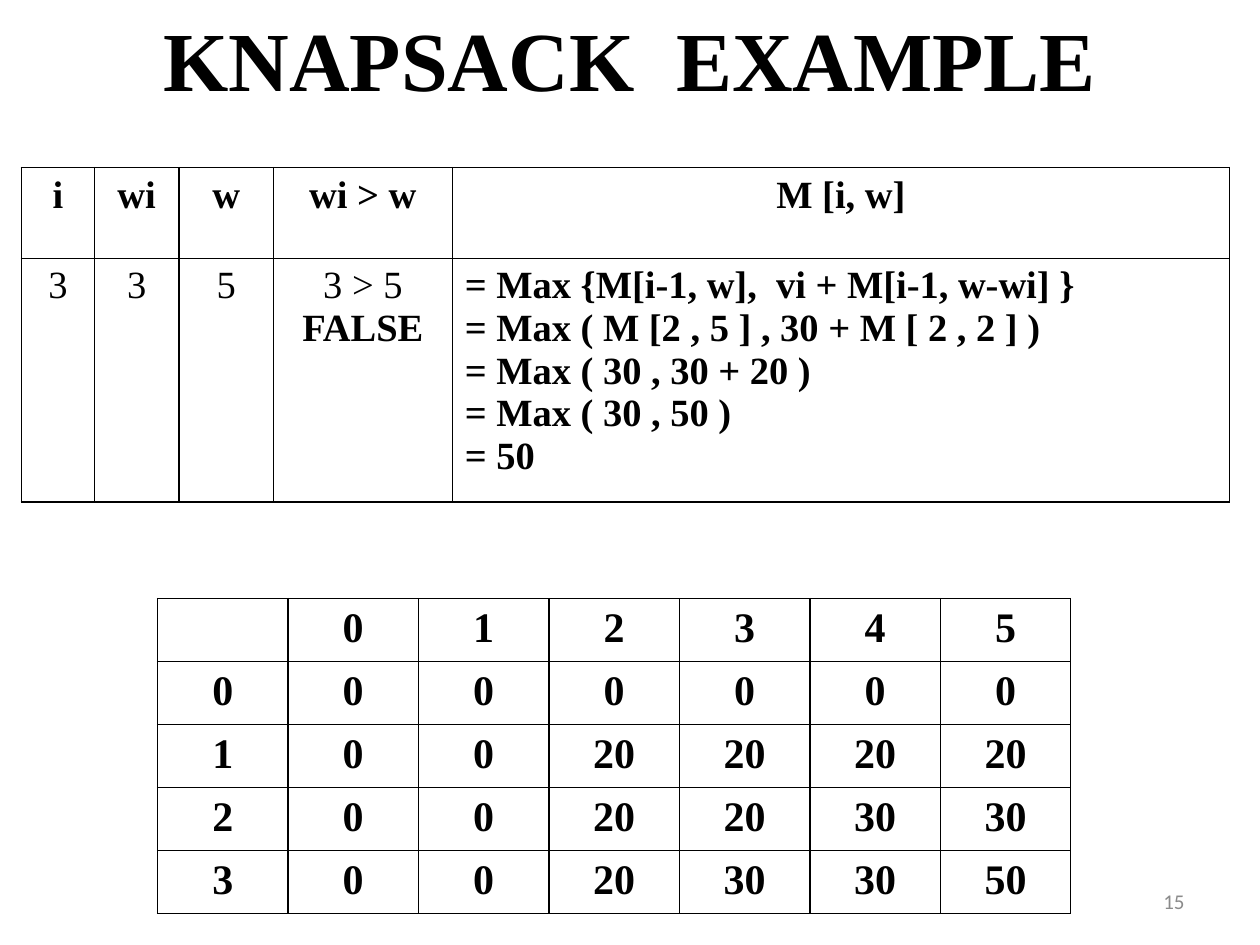
from pptx import Presentation
from pptx.dml.color import RGBColor
from pptx.enum.text import MSO_ANCHOR, MSO_AUTO_SIZE, PP_ALIGN
from pptx.oxml import parse_xml
from pptx.oxml.ns import nsdecls
from pptx.util import Inches, Pt

BLACK = RGBColor(0x00, 0x00, 0x00)
GRAY = RGBColor(0x8B, 0x8B, 0x8B)
LEFT, CENTER, RIGHT = PP_ALIGN.LEFT, PP_ALIGN.CENTER, PP_ALIGN.RIGHT
MIDDLE = MSO_ANCHOR.MIDDLE
NO_AUTOFIT = MSO_AUTO_SIZE.NONE
SERIF = "Times New Roman"


def write(tf, text, size=24, font=SERIF, color=BLACK, bold=True, align=CENTER):
    """Fill a text frame, one paragraph per line; bold may be a list, one flag per line."""
    lines = text.split("\n")
    flags = bold if isinstance(bold, list) else [bold] * len(lines)
    for i, (line, flag) in enumerate(zip(lines, flags)):
        p = tf.paragraphs[0] if i == 0 else tf.add_paragraph()
        p.alignment = align
        r = p.add_run()
        r.text = line
        r.font.name, r.font.size, r.font.bold = font, Pt(size), flag
        r.font.color.rgb = color


def add_grid(s, left, top, widths, heights):
    """Add an unfilled table with thin black borders."""
    frame = s.shapes.add_table(len(heights), len(widths), Inches(left), Inches(top),
                               Inches(sum(widths)), Inches(sum(heights)))
    table = frame.table
    table.first_row = table.horz_banding = False
    for col, width in zip(table.columns, widths):
        col.width = Inches(width)
    for row, height in zip(table.rows, heights):
        row.height = Inches(height)
    for cell in table.iter_cells():
        cell.fill.background()
        tcPr = cell._tc.get_or_add_tcPr()
        for i, side in enumerate(("lnL", "lnR", "lnT", "lnB")):
            tcPr.insert(i, parse_xml(
                f'<a:{side} {nsdecls("a")} w="12700"><a:solidFill>'
                f'<a:srgbClr val="{BLACK}"/></a:solidFill></a:{side}>'))
    return table


prs = Presentation()
prs.slide_width, prs.slide_height = Inches(10), Inches(7.5)
s = prs.slides.add_slide(prs.slide_layouts[5])

# Title
title = s.shapes.title
title.left, title.top = Inches(0.5), Inches(-0.08)
title.width, title.height = Inches(9), Inches(1.08)
tf = title.text_frame
tf.auto_size = NO_AUTOFIT
tf.vertical_anchor = MIDDLE
write(tf, "KNAPSACK  EXAMPLE", size=48)

# Slide number
tf = s.shapes.add_textbox(Inches(7.17), Inches(6.95), Inches(2.33), Inches(0.4)).text_frame
tf.word_wrap = True
tf.vertical_anchor = MIDDLE
write(tf, "15", size=12, font="Calibri", color=GRAY, bold=False, align=RIGHT)

# Table of M values: items down, capacities across
values = [
    ["", 0, 1, 2, 3, 4, 5],
    [0, 0, 0, 0, 0, 0, 0],
    [1, 0, 0, 20, 20, 20, 20],
    [2, 0, 0, 20, 20, 30, 30],
    [3, 0, 0, 20, 30, 30, 50],
]
table = add_grid(s, 1.25, 4.75, [7.25 / 7] * 7, [0.5] * 5)
for r, row in enumerate(values):
    for c, value in enumerate(row):
        if value != "":
            write(table.cell(r, c).text_frame, str(value))

# Working for the current cell
formula = """= Max {M[i-1, w],  vi + M[i-1, w-wi] }
= Max ( M [2 , 5 ] , 30 + M [ 2 , 2 ] )
= Max ( 30 , 30 + 20 )
= Max ( 30 , 50 )
= 50"""
columns = [
    ("i", "3", False, CENTER),
    ("wi", "3", False, CENTER),
    ("w", "5", False, CENTER),
    ("wi > w", "3 > 5\nFALSE", [False, True], CENTER),
    ("M [i, w]", formula, True, LEFT),
]
table = add_grid(s, 0.17, 1.33, [0.58, 0.67, 0.75, 1.42, 6.17], [0.72, 1.9])
for c, (heading, text, bold, align) in enumerate(columns):
    write(table.cell(0, c).text_frame, heading, size=22)
    write(table.cell(1, c).text_frame, text, size=22, bold=bold, align=align)

prs.save("out.pptx")
